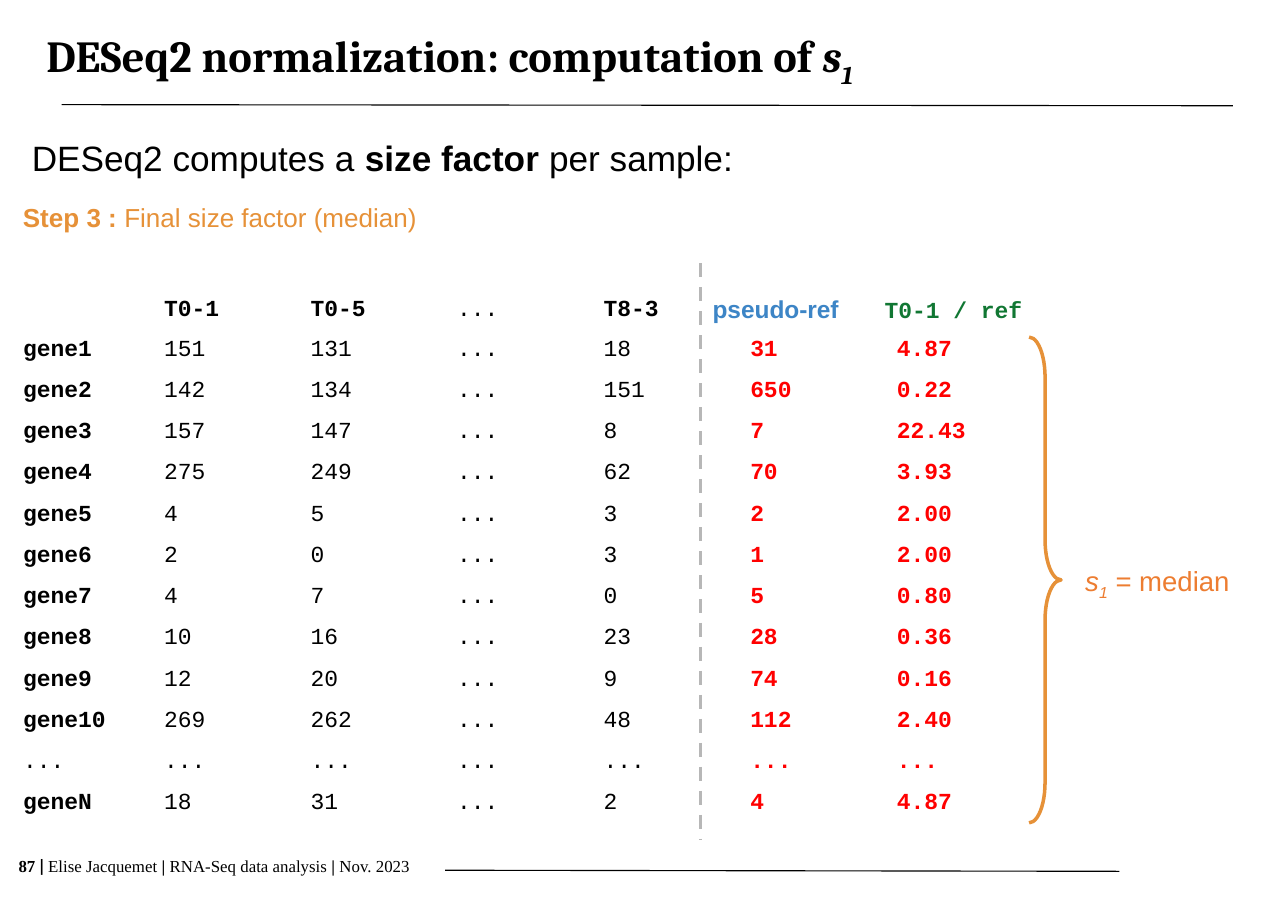
"""Build the slide on the median step of DESeq2 size factors."""
import pptx
import pptx.dml.color
import pptx.enum.dml
import pptx.enum.shapes
import pptx.enum.text
import pptx.oxml.ns
import pptx.util
from lxml import etree

Inches = pptx.util.Inches
RGBColor = pptx.dml.color.RGBColor
BLACK = RGBColor(0x00, 0x00, 0x00)
WHITE = RGBColor(0xFF, 0xFF, 0xFF)
RED = RGBColor(0xFF, 0x00, 0x00)
GREEN = RGBColor(0x11, 0x77, 0x33)
BLUE = RGBColor(0x3D, 0x85, 0xC6)
GREY = RGBColor(0xB7, 0xB7, 0xB7)
ORANGE = RGBColor(0xE6, 0x91, 0x38)
DEEP_ORANGE = RGBColor(0xED, 0x7D, 0x31)
LEFT, CENTER = pptx.enum.text.PP_ALIGN.LEFT, pptx.enum.text.PP_ALIGN.CENTER
TOP, MIDDLE = pptx.enum.text.MSO_ANCHOR.TOP, pptx.enum.text.MSO_ANCHOR.MIDDLE

TABLE_LEFT, TABLE_TOP = 0.11, 2.7
NAME_WIDTH, VALUE_WIDTH = 1.28, 1.33
HEADER_HEIGHT, LAST_HEIGHT = 0.36, 0.29
GENE_HEIGHT = 4.12 / 11
BRACE_TOP = TABLE_TOP + HEADER_HEIGHT


def write(frame, text, size, font="Arial", color=BLACK, align=LEFT,
          anchor=TOP, inset=(0.1, 0.1)):
    """Fill a frame with text: a string or (string, styles) pairs, b/i/_ for styles."""
    frame.word_wrap = True
    frame.auto_size = pptx.enum.text.MSO_AUTO_SIZE.NONE
    frame.vertical_anchor = anchor
    frame.margin_left = frame.margin_right = Inches(inset[0])
    frame.margin_top = frame.margin_bottom = Inches(inset[1])
    para = frame.paragraphs[0]
    para.alignment = align
    for words, style in [(text, "")] if isinstance(text, str) else text:
        span = para.add_run()
        span.text = words
        span.font.name = "Lato" if "L" in style else font
        span.font.size = pptx.util.Pt(size)
        span.font.color.rgb = color
        span.font.bold = "b" in style
        span.font.italic = "i" in style
        if "_" in style:
            span._r.get_or_add_rPr().set("baseline", "-25000")


deck = pptx.Presentation()
deck.slide_width, deck.slide_height = Inches(11.69), Inches(8.27)
page = deck.slides.add_slide(deck.slide_layouts[5])

title = page.shapes.title
title.left, title.top = Inches(0.42), Inches(0.01)
title.width, title.height = Inches(10.86), Inches(1.05)
write(title.text_frame,
      [("DESeq2 normalization: computation of ", "b"), ("s", "bi"), ("1", "bi_")],
      29, font="Cambria", anchor=MIDDLE, inset=(0, 0))

header = ["", "T0-1", "T0-5", "...", "T8-3", "", ""]
genes = [
    ["gene1", "151", "131", "...", "18", "31", "4.87"],
    ["gene2", "142", "134", "...", "151", "650", "0.22"],
    ["gene3", "157", "147", "...", "8", "7", "22.43"],
    ["gene4", "275", "249", "...", "62", "70", "3.93"],
    ["gene5", "4", "5", "...", "3", "2", "2.00"],
    ["gene6", "2", "0", "...", "3", "1", "2.00"],
    ["gene7", "4", "7", "...", "0", "5", "0.80"],
    ["gene8", "10", "16", "...", "23", "28", "0.36"],
    ["gene9", "12", "20", "...", "9", "74", "0.16"],
    ["gene10", "269", "262", "...", "48", "112", "2.40"],
    ["..."] * 7,
    ["geneN", "18", "31", "...", "2", "4", "4.87"],
]
rows = [header] + genes
widths = [NAME_WIDTH] + [VALUE_WIDTH] * 6
heights = [HEADER_HEIGHT] + [GENE_HEIGHT] * 11 + [LAST_HEIGHT]
table = page.shapes.add_table(
    len(rows), len(widths), Inches(TABLE_LEFT), Inches(TABLE_TOP),
    Inches(sum(widths)), Inches(sum(heights))).table
table.first_row = table.horz_banding = False
for column, width in zip(table.columns, widths):
    column.width = Inches(width)
for row, height in zip(table.rows, heights):
    row.height = Inches(height)
for r, values in enumerate(rows):
    for c, value in enumerate(values):
        cell = table.cell(r, c)
        cell.fill.solid()
        cell.fill.fore_color.rgb = WHITE
        cell.margin_left = cell.margin_right = Inches(0.1)
        cell.margin_top = cell.margin_bottom = 0
        if value:
            span = cell.text_frame.paragraphs[0].add_run()
            span.text = value
            span.font.name = "Courier New"
            span.font.size = pptx.util.Pt(15)
            span.font.color.rgb = RED if c > 4 else BLACK
            span.font.bold = c > 4 or (value != "..." and (r == 0 or c == 0))

brace = page.shapes.add_shape(
    pptx.enum.shapes.MSO_SHAPE.RIGHT_BRACE,
    Inches(9.34), Inches(BRACE_TOP), Inches(0.29), Inches(4.41))
brace.adjustments[0] = 1.26
brace.shadow.inherit = False
brace.fill.background()
brace.line.color.rgb = ORANGE
brace.line.width = pptx.util.Pt(2.3)

lines = [
    (0.56, 0.95, 11.19, 0.96, BLACK, 0.75, None),
    (4.04, 7.9, 10.16, 7.91, BLACK, 0.75, None),
    (6.36, 2.39, 6.36, 7.62, GREY, 2.25, pptx.enum.dml.MSO_LINE.DASH),
]
for x1, y1, x2, y2, color, weight, dash in lines:
    line = page.shapes.add_connector(
        pptx.enum.shapes.MSO_CONNECTOR.STRAIGHT,
        Inches(x1), Inches(y1), Inches(x2), Inches(y2))
    line.line.color.rgb = color
    line.line.width = pptx.util.Pt(weight)
    if dash:
        line.line.dash_style = dash
    etree.SubElement(line._element.spPr, pptx.oxml.ns.qn("a:effectLst"))

footer = [("87 ", "b"), ("| ", "bL"), ("Elise Jacquemet ", ""), ("|", "b"),
          (" RNA-Seq data analysis ", ""), ("|", "b"), (" Nov. 2023", "")]
intro = [("DESeq2 computes a ", ""), ("size factor", "b"), (" per sample:", "")]
step = [("Step 3 :", "b"), (" Final size factor (median)", "")]
median = [("s", "i"), ("1", "i_"), (" = median", "")]
boxes = [
    (0.19, 1.14, 6.94, 0.59, intro, dict(size=23)),
    (0.11, 1.73, 11.4, 0.49, step, dict(size=17, color=ORANGE)),
    (6.23, 2.44, 1.62, 0.72, [("pseudo-ref", "b")],
     dict(size=16, color=BLUE, align=CENTER, anchor=MIDDLE)),
    (7.93, 2.58, 3.28, 0.45, [("T0-1 / ref", "b")],
     dict(size=15, font="Courier New", color=GREEN)),
    (9.73, 4.93, 1.55, 0.72, median,
     dict(size=18, color=DEEP_ORANGE, align=CENTER, anchor=MIDDLE)),
    (0.07, 7.72, 4.5, 0.29, footer,
     dict(size=11, font="Times New Roman", inset=(0.1, 0.05))),
]
for left, top, width, height, text, style in boxes:
    box = page.shapes.add_textbox(
        Inches(left), Inches(top), Inches(width), Inches(height))
    write(box.text_frame, text, **style)

deck.save("out.pptx")
